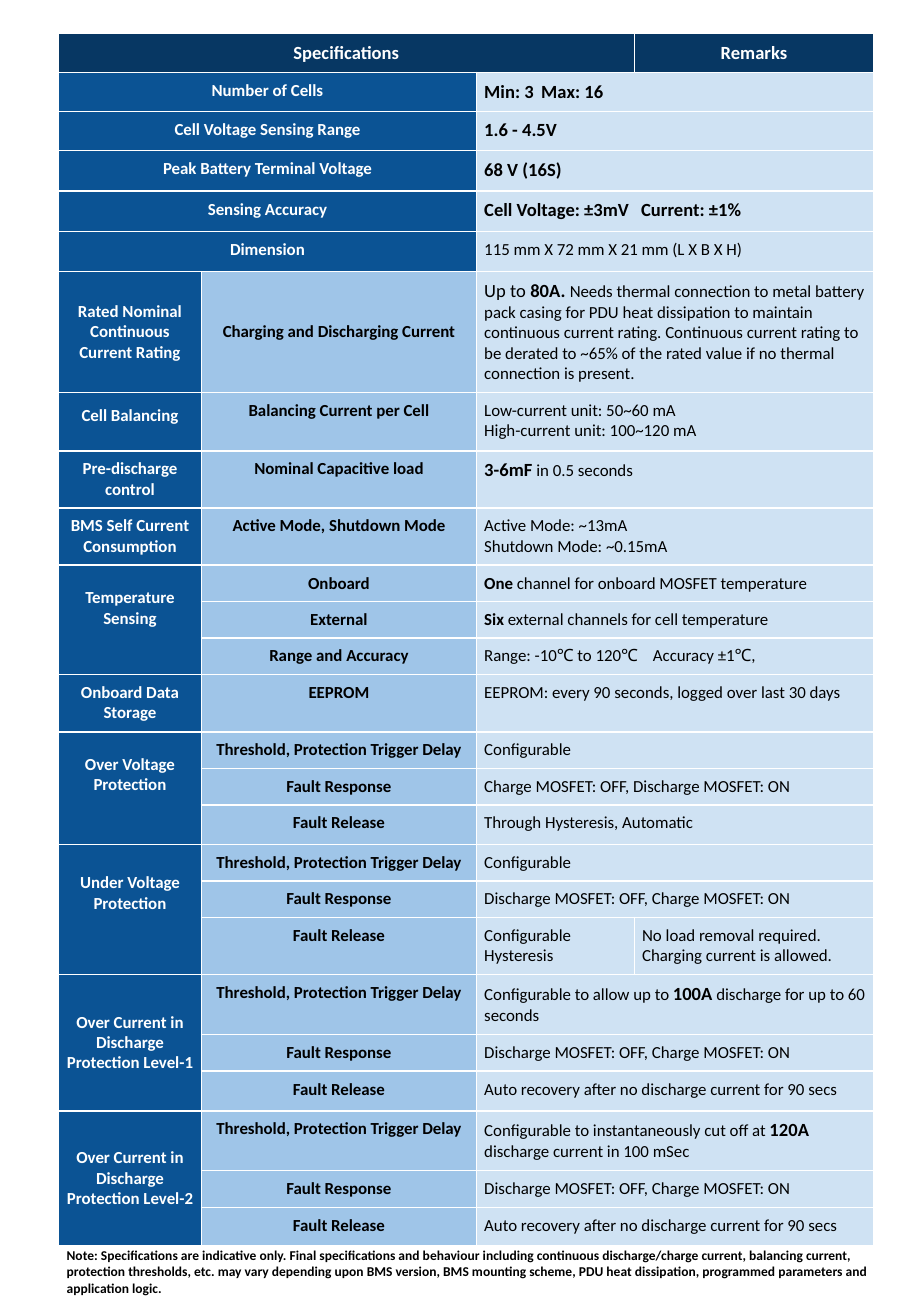
from lxml import etree
from pptx import Presentation
from pptx.dml.color import RGBColor
from pptx.enum.text import MSO_ANCHOR, PP_ALIGN
from pptx.oxml.ns import qn
from pptx.util import Pt

LEFT, CENTER = PP_ALIGN.LEFT, PP_ALIGN.CENTER
TOP, MIDDLE = MSO_ANCHOR.TOP, MSO_ANCHOR.MIDDLE
NAVY = RGBColor(0x07, 0x37, 0x63)
BLUE = RGBColor(0x0B, 0x53, 0x94)
SKY = RGBColor(0x9F, 0xC5, 0xE8)
PALE = RGBColor(0xCF, 0xE2, 0xF3)
WHITE = RGBColor(0xFF, 0xFF, 0xFF)
BLACK = RGBColor(0x00, 0x00, 0x00)
FONT = "Calibri"
MARGIN = 4.7
COLUMN_WIDTHS = [84.75, 163, 93.6, 141.9]

# Single-line specifications: label, value, value size, bold, tab stop, row height
GENERAL = [
    ("Number of Cells", "Min: 3\tMax: 16", 11, True, 33.8, 23.1),
    ("Cell Voltage Sensing Range", "1.6 - 4.5V", 11, True, 0, 23.4),
    ("Peak Battery Terminal Voltage", "68 V (16S)", 11, True, 0, 24),
    ("Sensing Accuracy", "Cell Voltage: ±3mV\tCurrent: ±1%", 11, True, 93, 24),
    ("Dimension", "115 mm X 72 mm X 21 mm (L X B X H)", 10, False, 0, 23.7),
]

THRESHOLD = "Threshold, Protection Trigger Delay"
RESPONSE = "Fault Response"
RELEASE = "Fault Release"
DISCHARGE_OFF = [("Discharge MOSFET: OFF, Charge MOSFET: ON", 10, False)]
AUTO_RECOVERY = [("Auto recovery after no discharge current for 90 secs", 10, False)]
CONFIGURABLE = [("Configurable", 10, False)]

# Sections: name, anchor, extra top margin, rows of (label, value runs, height)
SECTIONS = [
    ("Rated Nominal Continuous Current Rating", MIDDLE, 0, [
        ("Charging and Discharging Current",
         [("Up to ", 11, False), ("80A. ", 11, True),
          ("Needs thermal connection to metal battery pack casing for PDU heat "
           "dissipation to maintain continuous current rating. Continuous current "
           "rating to be derated to ~65% of the rated value if no thermal "
           "connection is present.", 10, False)], 71.7)]),
    ("Cell Balancing", TOP, 3, [
        ("Balancing Current per Cell",
         [("Low-current unit: 50~60 mA\nHigh-current unit: 100~120 mA", 10, False)], 34.6)]),
    ("Pre-discharge control", TOP, 0, [
        ("Nominal Capacitive load",
         [("3-6mF", 11, True), (" in 0.5 seconds", 10, False)], 33.9)]),
    ("BMS Self Current Consumption", TOP, 0, [
        ("Active Mode, Shutdown Mode",
         [("Active Mode: ~13mA\nShutdown Mode: ~0.15mA", 10, False)], 33.9)]),
    ("Temperature Sensing", TOP, 8.7, [
        ("Onboard", [("One", 10, True),
                     (" channel for onboard MOSFET temperature", 10, False)], 21.6),
        ("External", [("Six", 10, True),
                      (" external channels for cell temperature", 10, False)], 21.6),
        ("Range and Accuracy",
         [("Range: -10℃ to 120℃\tAccuracy ±1℃,", 10, False)], 21.6)]),
    ("Onboard Data Storage", TOP, 0, [
        ("EEPROM", [("EEPROM: every 90 seconds, logged over last 30 days", 10, False)], 34)]),
    ("Over Voltage Protection", TOP, 8.7, [
        (THRESHOLD, CONFIGURABLE, 21.7),
        (RESPONSE, [("Charge MOSFET: OFF, Discharge MOSFET: ON", 10, False)], 21.7),
        (RELEASE, [("Through Hysteresis, Automatic", 10, False)], 23.4)]),
    ("Under Voltage Protection", TOP, 12.2, [
        (THRESHOLD, CONFIGURABLE, 21.6),
        (RESPONSE, DISCHARGE_OFF, 21.6),
        (RELEASE, [("Configurable Hysteresis", 10, False)], 34)]),
    ("Over Current in Discharge Protection Level-1", MIDDLE, 0, [
        (THRESHOLD, [("Configurable to allow up to ", 10, False), ("100A", 11, True),
                     (" discharge for up to 60 seconds", 10, False)], 35.5),
        (RESPONSE, DISCHARGE_OFF, 21.7),
        (RELEASE, AUTO_RECOVERY, 23.5)]),
    ("Over Current in Discharge Protection Level-2", MIDDLE, 0, [
        (THRESHOLD, [("Configurable to instantaneously cut off at ", 10, False),
                     ("120A", 11, True),
                     (" discharge current in 100 mSec", 10, False)], 35.5),
        (RESPONSE, DISCHARGE_OFF, 21.7),
        (RELEASE, AUTO_RECOVERY, 22.9)]),
]
RELEASE_REMARK = "No load removal required. Charging current is allowed."


def add_runs(text_frame, runs, colour, alignment, tab_stop=0):
    """Write (text, size, bold) runs; a line feed starts a new paragraph."""
    paragraph = text_frame.paragraphs[0]
    paragraph.alignment = alignment
    if tab_stop:
        tabs = etree.SubElement(paragraph._p.get_or_add_pPr(), qn("a:tabLst"))
        etree.SubElement(tabs, qn("a:tab"), pos=str(Pt(tab_stop)), algn="l")
    for text, size, bold in runs:
        for index, line in enumerate(text.split("\n")):
            if index:
                paragraph = text_frame.add_paragraph()
                paragraph.alignment = alignment
            run = paragraph.add_run()
            run.text = line
            run.font.name = FONT
            run.font.size = Pt(size)
            run.font.bold = bold
            run.font.color.rgb = colour


def fill_cell(row, column, fill, runs, row_span=1, column_span=1, anchor=TOP,
              extra_top=0, tab_stop=0):
    """Fill one cell, merged over the given spans."""
    cell = table.cell(row, column)
    if row_span > 1 or column_span > 1:
        cell.merge(table.cell(row + row_span - 1, column + column_span - 1))
    cell.fill.solid()
    cell.fill.fore_color.rgb = fill
    cell.vertical_anchor = anchor
    cell.margin_top = Pt(MARGIN + extra_top)
    colour = WHITE if fill in (NAVY, BLUE) else BLACK
    add_runs(cell.text_frame, runs, colour, LEFT if fill == PALE else CENTER, tab_stop)


presentation = Presentation()
presentation.slide_width, presentation.slide_height = Pt(540), Pt(780)
slide = presentation.slides.add_slide(presentation.slide_layouts[6])

heights = [22.7] + [entry[-1] for entry in GENERAL]
heights += [entry[-1] for section in SECTIONS for entry in section[-1]]
table = slide.shapes.add_table(len(heights), len(COLUMN_WIDTHS), Pt(34.65), Pt(19.9),
                               Pt(sum(COLUMN_WIDTHS)), Pt(sum(heights))).table
table.first_row = table.horz_banding = False
for column, width in zip(table.columns, COLUMN_WIDTHS):
    column.width = Pt(width)
for row, height in zip(table.rows, heights):
    row.height = Pt(height)

for cell in table.iter_cells():
    cell.margin_left = cell.margin_right = Pt(MARGIN)
    cell.margin_top = cell.margin_bottom = Pt(MARGIN)
    properties = cell._tc.get_or_add_tcPr()
    for side in ("a:lnL", "a:lnR", "a:lnT", "a:lnB"):
        border = etree.SubElement(properties, qn(side), w=str(Pt(1)))
        solid = etree.SubElement(border, qn("a:solidFill"))
        etree.SubElement(solid, qn("a:srgbClr"), val=str(WHITE))
    cell.fill.solid()
    cell.fill.fore_color.rgb = PALE

fill_cell(0, 0, NAVY, [("Specifications", 11, True)], column_span=3)
fill_cell(0, 3, NAVY, [("Remarks", 11, True)])

for row, (label, value, size, bold, tab_stop, height) in enumerate(GENERAL, 1):
    fill_cell(row, 0, BLUE, [(label, 10, True)], column_span=2)
    fill_cell(row, 2, PALE, [(value, size, bold)], column_span=2, tab_stop=tab_stop)

row = len(GENERAL) + 1
for name, anchor, extra_top, entries in SECTIONS:
    fill_cell(row, 0, BLUE, [(name, 10, True)], row_span=len(entries),
              anchor=anchor, extra_top=extra_top)
    for label, runs, height in entries:
        label_anchor = anchor if len(entries) == 1 else TOP
        fill_cell(row, 1, SKY, [(label, 10, True)], anchor=label_anchor)
        split = name.startswith("Under Voltage") and label == RELEASE
        fill_cell(row, 2, PALE, runs, column_span=1 if split else 2,
                  tab_stop=100 if "\t" in runs[0][0] else 0)
        if split:
            fill_cell(row, 3, PALE, [(RELEASE_REMARK, 10, False)])
        row += 1

note = slide.shapes.add_textbox(Pt(32.4), Pt(735.8), Pt(514.8), Pt(36))
note.text_frame.word_wrap = True
add_runs(note.text_frame, [(
    "Note: Specifications are indicative only. Final specifications and behaviour "
    "including continuous discharge/charge current, balancing current, protection "
    "thresholds, etc. may vary depending upon BMS version, BMS mounting scheme, PDU heat "
    "dissipation, programmed parameters and application logic.", 8, True)], BLACK, LEFT)

presentation.save("out.pptx")
